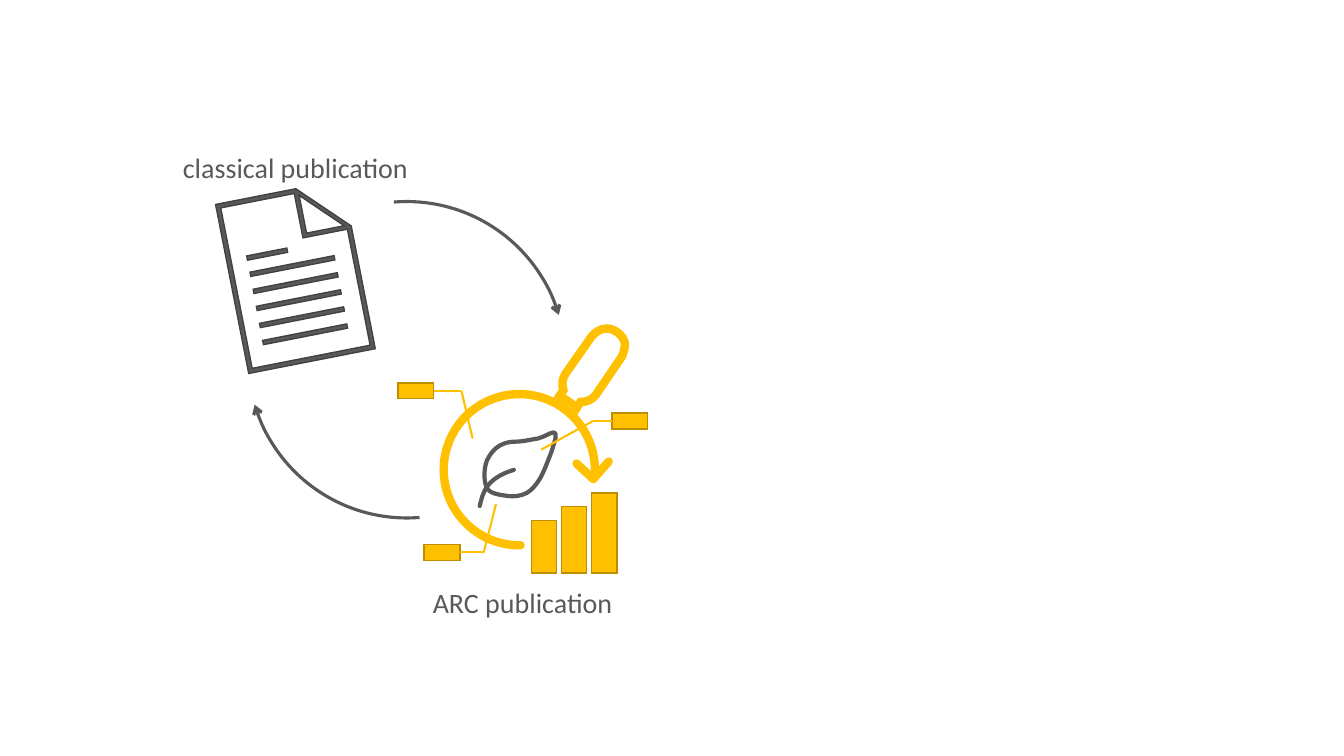
"""Draw the cycle between a classical publication and an ARC publication."""
from pptx import Presentation, util as u
from pptx.dml.color import RGBColor
from pptx.enum import shapes, text
from pptx.oxml.ns import qn
from lxml import etree

CAPTIONS = [("classical publication", 3.89, 3.68, 7.11), ("ARC publication", 10.26, 14.63, 5.82)]
CAPTION_HEIGHT = 1.13

TILT = 348.9
SHEET_ORIGIN = (5.82, 4.8)
SHEET = [
    [(0, 0), (0, 4.34), (3.25, 4.34), (3.25, 1.19), (2.06, 0)],
    [(2.11, 0.18), (3.08, 1.15), (2.11, 1.15)],
    [(0.11, 4.23), (0.11, 0.11), (2, 0.11), (2, 1.25), (3.14, 1.25), (3.14, 4.23)],
]
SHORT_LINE = (6.22, 6.35, 1.03, 0.11)
LONG_LINE = (6.29, 6.65, 2.16, 0.11)
LONG_LINE_COUNT, LONG_LINE_STEP = 5, (0.08, 0.43)

BAR_HEIGHTS = [1.33, 1.68, 2.02]
BAR_LEFT, BAR_BASE, BAR_WIDTH, BAR_STEP = 13.39, 14.44, 0.64, 0.76

LENS_FRAME, LENS_TURN, LENS_ANGLES = (11.18, 9.93, 3.81, 3.81), 161, (288, 202.3)
LENS_TIP, LENS_BARBS = (14.95, 12.07), [(15.34, 11.63), (14.53, 11.68)]
CYCLE = [((6.25, 5.08, 8, 8), 357.2), ((6.25, 5.05, 8, 8), 177.2)]
CYCLE_ANGLES = (268.2, 346.2)

TAG_SIZE = (0.9, 0.4)
LEFT_SIDE, RIGHT_SIDE = 1, 3
TAGS = [
    ((10.03, 9.65), RIGHT_SIDE, 11.63, (11.91, 11.05)),
    ((10.69, 13.72), RIGHT_SIDE, 12.19, (12.5, 12.7)),
    ((15.42, 10.41), LEFT_SIDE, 14.94, (13.64, 11.33)),
]

LEAF = [
    (12.27, 12.29),
    (12.19, 12.14, 12.19, 11.81, 12.27, 11.61),
    (12.37, 11.4, 12.55, 11.13, 13, 11.13),
    (13.18, 11.13, 13.41, 11.07, 13.56, 11.05),
    (13.74, 11, 13.87, 10.9, 13.94, 10.9),
    (14.02, 10.9, 14, 10.95, 14, 11.05),
    (13.97, 11.15, 13.92, 11.33, 13.87, 11.46),
    (13.82, 11.58, 13.69, 11.94, 13.59, 12.09),
    (13.49, 12.24, 13.41, 12.34, 13.28, 12.42),
    (13.13, 12.5, 12.95, 12.52, 12.8, 12.5),
    (12.62, 12.47, 12.34, 12.45, 12.27, 12.29),
]
VEIN = [(12.09, 12.75), (12.17, 12.42, 12.24, 12.06, 12.95, 11.84)]
HANDLE = [
    (15.29, 8.28),
    (15.39, 8.28, 15.47, 8.31, 15.54, 8.36),
    (15.65, 8.43, 15.72, 8.53, 15.75, 8.66),
    (15.75, 8.76, 15.72, 8.89, 15.67, 8.99),
    (15.01, 9.96),
    (14.91, 10.08, 14.78, 10.13, 14.63, 10.13),
    (14.53, 10.29),
    (14.48, 10.24),
    (14.43, 10.19, 14.35, 10.13, 14.27, 10.08),
    (14.1, 9.98),
    (14.2, 9.83),
    (14.15, 9.7, 14.17, 9.55, 14.25, 9.42),
    (14.91, 8.48),
    (15.01, 8.36, 15.14, 8.28, 15.29, 8.28),
]

THEME = {"grey": "595959", "grey_edge": "424242", "gold": "FFC000", "gold_edge": "BD8E00",
         "font": "Calibri", "size": 20, "edge": 1, "leader": 1.5, "cycle": 2.25, "leaf": 3, "lens": 6}


def lengths(values):
    return [u.Cm(value) for value in values]


def colour(name):
    return RGBColor.from_string(THEME[name])


def stroke(item, name, width, cap="flat", join="round"):
    item.line.color.rgb = colour(name)
    item.line.width = u.Pt(THEME[width])
    outline = item._element.spPr.find(qn("a:ln"))
    outline.set("cap", cap)
    etree.SubElement(outline, qn("a:" + join))
    return outline


def paint(shape, fill=None):
    shape.shadow.inherit = False
    if fill:
        shape.fill.solid()
        shape.fill.fore_color.rgb = colour(fill)
        stroke(shape, fill + "_edge", "edge", join="miter")
    else:
        shape.fill.background()
    return shape


def add_box(page, frame, fill):
    return paint(page.shapes.add_shape(shapes.MSO_SHAPE.RECTANGLE, *lengths(frame)), fill)


def add_arc(page, frame, rotation, angles):
    arc = paint(page.shapes.add_shape(shapes.MSO_SHAPE.ARC, *lengths(frame)))
    arc.rotation = rotation
    for index, angle in enumerate(angles):
        arc.adjustments[index] = angle * 0.6
    return arc


def add_line(page, start, end, width, cap="flat"):
    line = page.shapes.add_connector(shapes.MSO_CONNECTOR.STRAIGHT, *lengths(start + end))
    stroke(line, "gold", width, cap)
    etree.SubElement(line._element.spPr, qn("a:effectLst"))
    return line


def add_outline(page, contours, origin=(0, 0), fill=None, close=True):
    builder = None
    for contour in contours:
        points = [(step[i] * 100, step[i + 1] * 100)
                  for step in contour for i in range(0, len(step), 2)]
        if builder:
            builder.move_to(*points[0])
        else:
            builder = page.shapes.build_freeform(*points[0], scale=u.Cm(0.01))
        builder.add_line_segments(points[1:], close=close)
    outline = paint(builder.convert_to_shape(*lengths(origin)), fill)

    segments = iter(list(outline._element.iter(qn("a:lnTo"))))
    for step in (step for contour in contours for step in contour[1:]):
        parts = [next(segments) for _ in range(len(step) // 2)]
        if len(parts) == 3:
            curve = etree.Element(qn("a:cubicBezTo"))
            parts[0].addprevious(curve)
            for part in parts:
                curve.append(part[0])
                part.getparent().remove(part)
    return outline


def add_caption(page, words, left, top, width):
    box = page.shapes.add_textbox(*lengths((left, top, width, CAPTION_HEIGHT)))
    box.text_frame.word_wrap = True
    box.text_frame.auto_size = text.MSO_AUTO_SIZE.SHAPE_TO_FIT_TEXT
    para = box.text_frame.paragraphs[0]
    para.text = words
    para.alignment = text.PP_ALIGN.CENTER
    para.font.name = THEME["font"]
    para.font.size = u.Pt(THEME["size"])
    para.font.color.rgb = colour("grey")


def add_sheet(page):
    left, top, width, height = LONG_LINE
    across, down = LONG_LINE_STEP
    long_lines = [(left + i * across, top + i * down, width, height) for i in range(LONG_LINE_COUNT)]
    for frame in [SHORT_LINE] + long_lines:
        add_box(page, frame, "grey").rotation = TILT
    add_outline(page, SHEET, SHEET_ORIGIN, "grey").rotation = TILT


def add_tag(page, corner, side, elbow_x, tip):
    tag = add_box(page, corner + TAG_SIZE, "gold")
    edge_x = corner[0] + (TAG_SIZE[0] if side == RIGHT_SIDE else 0)
    middle = corner[1] + TAG_SIZE[1] / 2
    leader = add_line(page, (edge_x, middle), (elbow_x, middle), "leader")
    leader.begin_connect(tag, side)
    add_line(page, (elbow_x, middle), tip, "leader")


def main():
    deck = Presentation()
    deck.slide_width, deck.slide_height = lengths((33.87, 19.05))
    page = deck.slides.add_slide(deck.slide_layouts[6])

    add_sheet(page)
    for index, height in enumerate(BAR_HEIGHTS):
        add_box(page, (BAR_LEFT + index * BAR_STEP, BAR_BASE - height, BAR_WIDTH, height), "gold")
    stroke(add_arc(page, LENS_FRAME, LENS_TURN, LENS_ANGLES), "gold", "lens", "rnd")
    for barb in LENS_BARBS:
        add_line(page, LENS_TIP, barb, "lens", "rnd")
    stroke(add_outline(page, [LEAF]), "grey", "leaf", "rnd")
    stroke(add_outline(page, [VEIN], close=False), "grey", "leaf", "rnd")
    for tag in TAGS:
        add_tag(page, *tag)
    stroke(add_outline(page, [HANDLE]), "gold", "lens", join="miter")
    for caption in CAPTIONS:
        add_caption(page, *caption)
    for frame, rotation in CYCLE:
        outline = stroke(add_arc(page, frame, rotation, CYCLE_ANGLES), "grey", "cycle")
        etree.SubElement(outline, qn("a:tailEnd"), type="arrow")
    deck.save("out.pptx")


if __name__ == "__main__":
    main()
